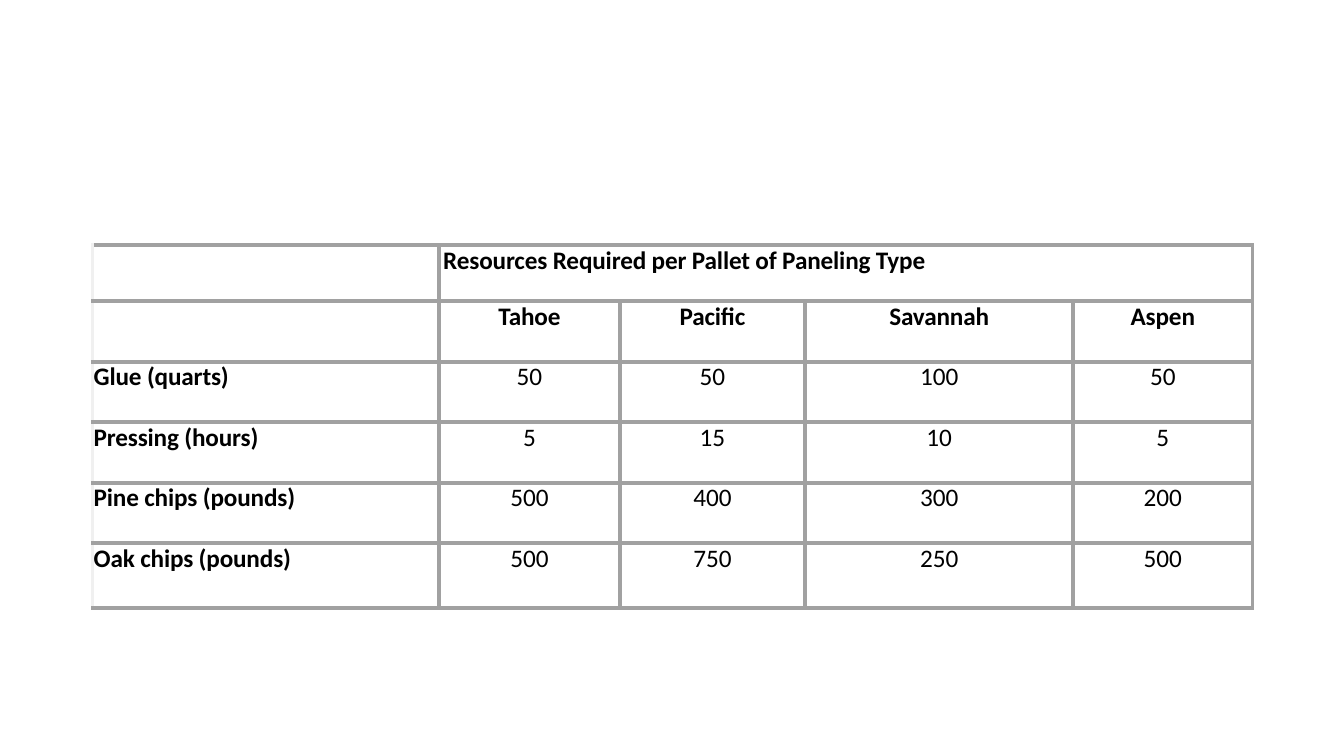
import dataclasses

import lxml.etree
import pptx
import pptx.dml.color
import pptx.enum.text
import pptx.oxml.ns
import pptx.util

Pt = pptx.util.Pt
ALIGN = pptx.enum.text.PP_ALIGN


@dataclasses.dataclass(frozen=True)
class Theme:
    """Colours, type and line widths of the slide."""
    font: str = "Calibri"
    size: float = 18
    ink: str = "000000"
    rule: str = "A1A1A1"
    faint_rule: str = "F0F0F0"
    tracking: float = -0.1
    column_rules: tuple = (2.64, 3, 3.12, 3, 3.12, 2.64)
    row_rules: tuple = (3, 3.12, 3.12, 3.12, 3.12, 3.12, 3)


THEME = Theme()

HEADING = "Resources Required per Pallet of Paneling Type"
PANELING_TYPES = ("Tahoe", "Pacific", "Savannah", "Aspen")
RESOURCES = (
    ("Glue (quarts)", 50, 50, 100, 50),
    ("Pressing (hours)", 5, 15, 10, 5),
    ("Pine chips (pounds)", 500, 400, 300, 200),
    ("Oak chips (pounds)", 500, 750, 250, 500),
)
COLUMN_WIDTHS = (247.5, 129, 132.5, 191.5, 128)
ROW_HEIGHTS = (40.3, 43.2, 43.2, 43.2, 43.2, 46)


def write(cell, text, bold=False, align=ALIGN.CENTER, indent=0, before=1.3):
    """Put one formatted paragraph in a cell."""
    paragraph = cell.text_frame.paragraphs[0]
    paragraph.alignment = align
    paragraph.space_before = Pt(before)
    paragraph._p.get_or_add_pPr().set("marL", str(Pt(indent)))
    run = paragraph.add_run()
    run.text = str(text)
    run.font.name = THEME.font
    run.font.size = Pt(THEME.size)
    run.font.bold = bold
    run.font.color.rgb = pptx.dml.color.RGBColor.from_string(THEME.ink)
    if bold:
        run._r.get_or_add_rPr().set("spc", str(round(THEME.tracking * 100)))


def add_border(cell, side, width, color):
    """Draw one side (L, R, T or B) of a cell."""
    qn = pptx.oxml.ns.qn
    line = lxml.etree.SubElement(cell._tc.get_or_add_tcPr(), qn(f"a:ln{side}"),
                                 w=str(Pt(width)))
    fill = lxml.etree.SubElement(line, qn("a:solidFill"))
    lxml.etree.SubElement(fill, qn("a:srgbClr"), val=color)


def style_cell(cell, row, first_column, last_column):
    """Clear the margins and fill of a cell and rule its four sides."""
    cell.margin_left = cell.margin_right = 0
    cell.margin_top = cell.margin_bottom = 0
    left_color = THEME.rule if first_column else THEME.faint_rule
    add_border(cell, "L", THEME.column_rules[first_column], left_color)
    add_border(cell, "R", THEME.column_rules[last_column + 1], THEME.rule)
    add_border(cell, "T", THEME.row_rules[row], THEME.rule)
    add_border(cell, "B", THEME.row_rules[row + 1], THEME.rule)
    cell.fill.background()


def add_grid(slide, left, top):
    """Add the ruled table, with a heading cell across the paneling types."""
    last = len(COLUMN_WIDTHS) - 1
    grid = slide.shapes.add_table(
        len(ROW_HEIGHTS), len(COLUMN_WIDTHS), Pt(left), Pt(top),
        Pt(sum(COLUMN_WIDTHS)), Pt(sum(ROW_HEIGHTS))).table
    grid.first_row = grid.horz_banding = False
    for column, width in zip(grid.columns, COLUMN_WIDTHS):
        column.width = Pt(width)
    for row, height in zip(grid.rows, ROW_HEIGHTS):
        row.height = Pt(height)
    grid.cell(0, 1).merge(grid.cell(0, last))
    for row in range(len(ROW_HEIGHTS)):
        for column in range(last + 1):
            in_heading = row == 0 and column > 0
            edges = (1, last) if in_heading else (column, column)
            style_cell(grid.cell(row, column), row, *edges)
    return grid


def fill_resources(grid):
    """Write the heading, the paneling types and the resource rows."""
    write(grid.cell(0, 1), HEADING, bold=True, align=ALIGN.LEFT,
          indent=2.9, before=0.1)
    for column, paneling in enumerate(PANELING_TYPES, 1):
        write(grid.cell(1, column), paneling, bold=True)
    for row, (resource, *amounts) in enumerate(RESOURCES, 2):
        write(grid.cell(row, 0), resource, bold=True, align=ALIGN.LEFT,
              indent=0.7)
        for column, amount in enumerate(amounts, 1):
            write(grid.cell(row, column), amount)


def main():
    """Build and save the slide."""
    deck = pptx.Presentation()
    deck.slide_width, deck.slide_height = Pt(960), Pt(540)
    slide = deck.slides.add_slide(deck.slide_layouts[6])
    fill_resources(add_grid(slide, left=66.2, top=175))
    deck.save("out.pptx")


main()
